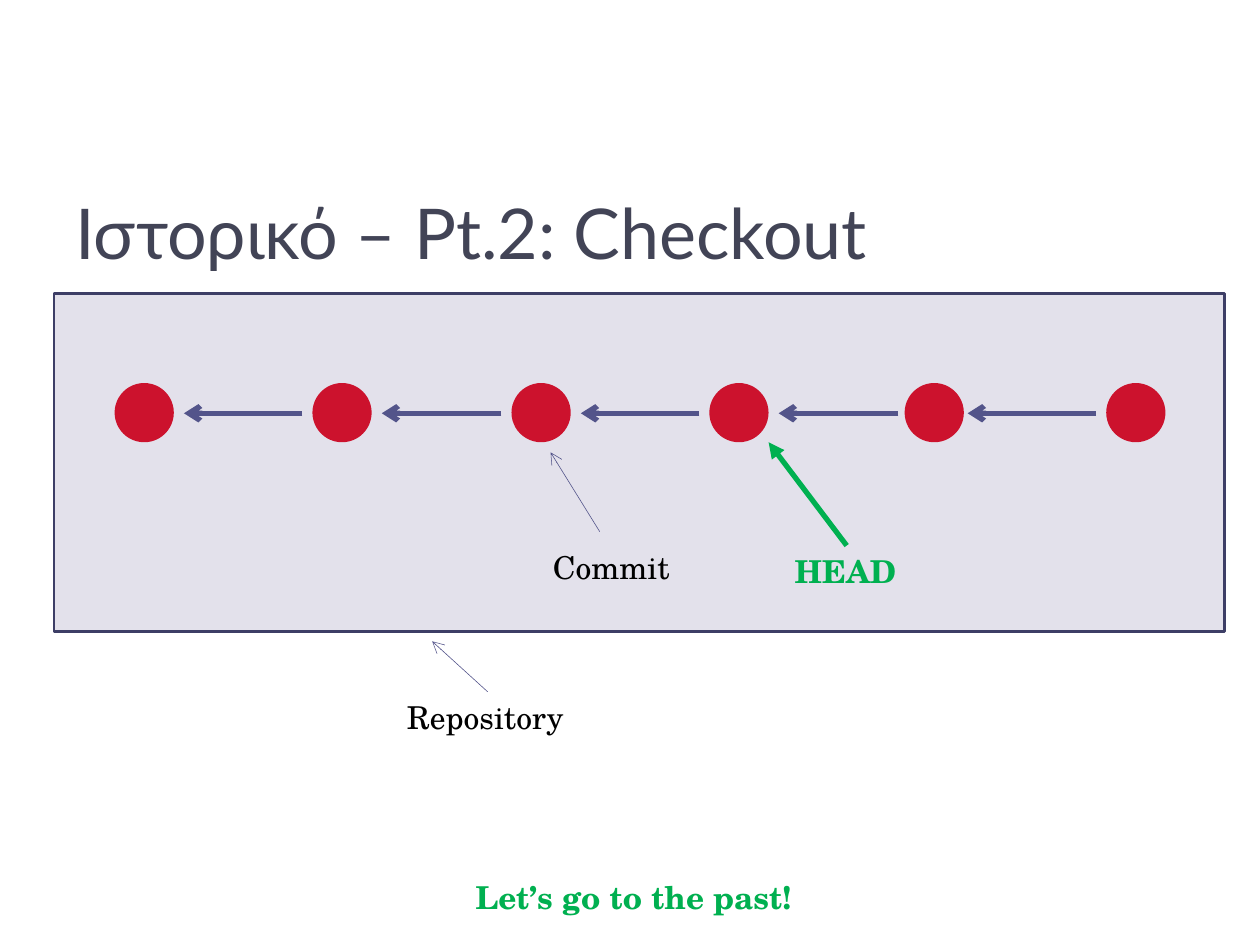
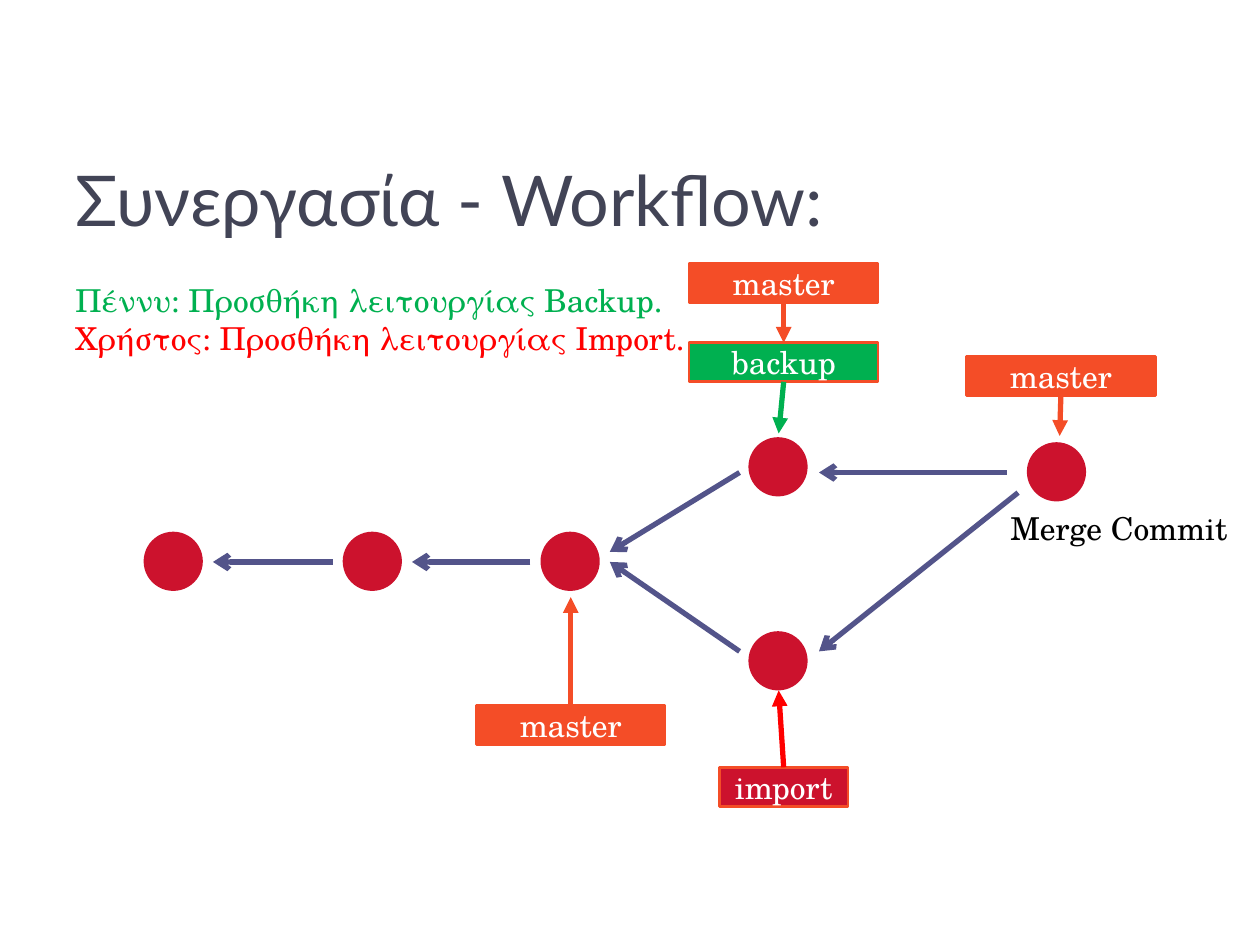
from lxml.etree import SubElement
from pptx import Presentation
from pptx.dml.color import RGBColor
from pptx.enum.shapes import MSO_CONNECTOR, MSO_SHAPE
from pptx.enum.text import MSO_ANCHOR, MSO_AUTO_SIZE, PP_ALIGN
from pptx.oxml.ns import qn
from pptx.util import Emu, Pt

EMU_PER_PX = 9144  # 100 px to the inch
TITLE_FONT, BODY_FONT = "Lato", "TeX Gyre Schola"
TITLE, TEXT, WHITE = "424456", "000000", "FFFFFF"
COMMIT, HISTORY = "CC122D", "53548A"
REPOSITORY, REPOSITORY_EDGE = "5E538B", "3D3E66"
GREEN, RED, ORANGE = "00B050", "FF0000", "F44D27"
DIAMETER, LABEL_HEIGHT = 47, 31
TOP, BOTTOM = 0, 2  # connection sites


def px(length):
    return Emu(length * EMU_PER_PX)


def rgb(color):
    return RGBColor.from_string(color)


class Deck:
    """Holds the shared style and the current slide."""

    def __init__(self):
        self.presentation = Presentation()
        self.presentation.slide_width = px(1000)
        self.presentation.slide_height = px(750)
        self.slide = None

    def new_slide(self, title, title_top):
        self.slide = self.presentation.slides.add_slide(self.presentation.slide_layouts[6])
        box = self.slide.shapes.add_textbox(px(50), px(title_top), px(900), px(117))
        box.text_frame.word_wrap = True
        box.text_frame.vertical_anchor = MSO_ANCHOR.MIDDLE
        self.set_text(box.text_frame.paragraphs[0], title, TITLE, size=40, name=TITLE_FONT)

    def set_text(self, paragraph, text, color, size=18, name=BODY_FONT, bold=False,
                 align=PP_ALIGN.LEFT):
        paragraph.text = text
        paragraph.alignment = align
        font = paragraph.font
        font.name, font.size, font.bold = name, Pt(size), bold
        font.color.rgb = rgb(color)

    def text(self, left, top, width, lines, height=40, **style):
        """Add a text box; lines is a list of (text, color)."""
        box = self.slide.shapes.add_textbox(px(left), px(top), px(width), px(height))
        frame = box.text_frame
        frame.word_wrap = True
        frame.auto_size = MSO_AUTO_SIZE.SHAPE_TO_FIT_TEXT
        for index, (line, color) in enumerate(lines):
            paragraph = frame.add_paragraph() if index else frame.paragraphs[0]
            self.set_text(paragraph, line, color, **style)

    def shape(self, kind, left, top, width, height, fill, edge=None, opacity=None):
        shape = self.slide.shapes.add_shape(kind, px(left), px(top), px(width), px(height))
        shape.shadow.inherit = False
        shape.fill.solid()
        shape.fill.fore_color.rgb = rgb(fill)
        if opacity is not None:
            color = shape._element.spPr.find(qn("a:solidFill")).find(qn("a:srgbClr"))
            SubElement(color, qn("a:alpha"), val=str(opacity * 1000))
        if edge:
            shape.line.color.rgb = rgb(edge)
            shape.line.width = Pt(1.5)
        else:
            shape.line.fill.background()
        return shape

    def commit(self, left, top):
        self.shape(MSO_SHAPE.OVAL, left, top, DIAMETER, DIAMETER, COMMIT)

    def branch(self, name, left, top, width=150, fill=ORANGE):
        label = self.shape(MSO_SHAPE.RECTANGLE, left, top, width, LABEL_HEIGHT, fill, ORANGE)
        label.text_frame.vertical_anchor = MSO_ANCHOR.MIDDLE
        self.set_text(label.text_frame.paragraphs[0], name, WHITE, align=PP_ALIGN.CENTER)
        return label

    def arrow(self, start, end, color=HISTORY, width=3, head="arrow"):
        """Each end is an (x, y) point or a (shape, connection site) pair."""
        ends = [(point, isinstance(point[0], int)) for point in (start, end)]
        places = [px(value) if free else 0 for point, free in ends for value in point]
        connector = self.slide.shapes.add_connector(MSO_CONNECTOR.STRAIGHT, *places)
        joins = (connector.begin_connect, connector.end_connect)
        for (point, free), join in zip(ends, joins):
            if not free:
                join(*point)
        connector.line.color.rgb = rgb(color)
        connector.line.width = Pt(width)
        properties = connector._element.spPr
        SubElement(properties.find(qn("a:ln")), qn("a:tailEnd"), type=head)
        SubElement(properties, qn("a:effectLst"))

    def pointer(self, start, end, color):
        self.arrow(start, end, color, head="triangle")


def build_checkout(deck):
    deck.new_slide("Ιστορικό – Pt.2: Checkout", 125)

    # Repository with its chain of commits
    deck.shape(MSO_SHAPE.RECTANGLE, 43, 233, 929, 268, REPOSITORY, REPOSITORY_EDGE, opacity=17)
    for left in (91, 248, 406, 563, 718, 878):
        deck.commit(left, 304)
    for start, end in ((240, 146), (398, 303), (555, 461), (713, 618), (870, 768)):
        deck.arrow((start, 328), (end, 328))

    # Callouts
    deck.arrow((476, 422), (437, 359), width=0.35)
    deck.text(429, 430, 126, [("Commit", TEXT)])
    deck.arrow((387, 549), (343, 509), width=0.35)
    deck.text(313, 549, 148, [("Repository", TEXT)])

    # Current position
    deck.pointer((672, 433), (610, 351), GREEN)
    for left, top, width, words in ((620, 433, 102, "HEAD"),
                                    (141, 692, 724, "Let’s go to the past!")):
        deck.text(left, top, width, [(words, GREEN)], bold=True, align=PP_ALIGN.CENTER)


def build_workflow(deck):
    deck.new_slide("Συνεργασία - Workflow:", 99)
    deck.text(50, 218, 623, [("Πέννυ: Προσθήκη λειτουργίας Backup.", GREEN),
                             ("Χρήστος: Προσθήκη λειτουργίας Import.", RED)], height=71)

    # Commits: shared history, two branches, merge
    for left, top in ((114, 422), (272, 422), (429, 422), (594, 347), (594, 501), (815, 351)):
        deck.commit(left, top)
    for start, end in (((264, 446), (169, 446)), ((421, 446), (327, 446)),
                       ((587, 375), (484, 438)), ((587, 517), (484, 446)),
                       ((799, 375), (650, 375)), ((808, 391), (650, 517))):
        deck.arrow(start, end)
    deck.text(792, 399, 197, [("Merge Commit", TEXT)])

    # Branch labels and what they point to
    base_master = deck.branch("master", 378, 560)
    backup_master = deck.branch("master", 547, 209)
    merge_master = deck.branch("master", 767, 283)
    backup = deck.branch("backup", 547, 272, fill=GREEN)
    import_branch = deck.branch("import", 571, 609, width=102, fill=COMMIT)
    deck.pointer((base_master, TOP), (453, 474), ORANGE)
    deck.pointer((backup_master, BOTTOM), (backup, TOP), ORANGE)
    deck.pointer((merge_master, BOTTOM), (841, 346), ORANGE)
    deck.pointer((backup, BOTTOM), (618, 344), GREEN)
    deck.pointer((import_branch, TOP), (618, 548), RED)


def main():
    deck = Deck()
    build_checkout(deck)
    build_workflow(deck)
    deck.presentation.save("out.pptx")


if __name__ == "__main__":
    main()
